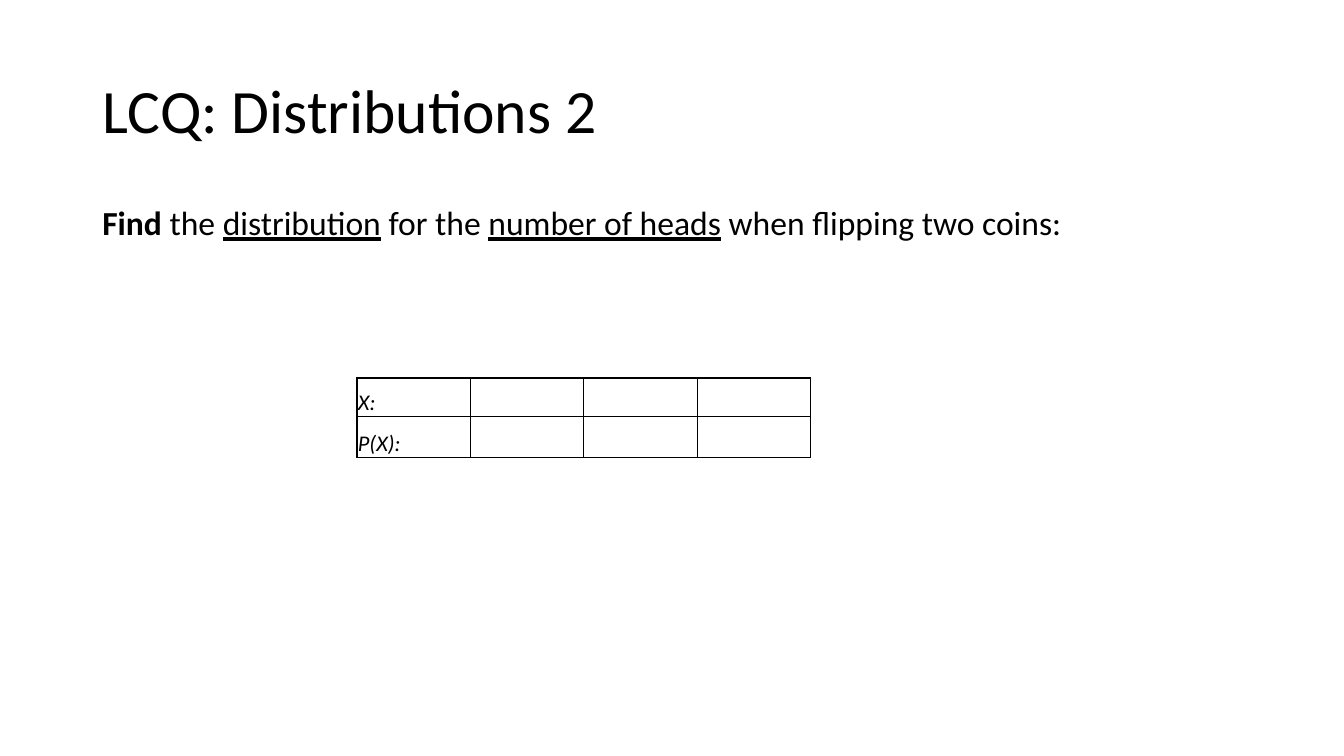
from dataclasses import dataclass
from pptx import Presentation as Deck
from pptx.dml.color import RGBColor as Rgb
from pptx.enum.text import MSO_ANCHOR as Anchor, PP_ALIGN as Align
from pptx.oxml import parse_xml
from pptx.oxml.ns import nsdecls
from pptx.util import Inches, Pt

UNIT = Inches(1) / 12
COLS, ROWS = 160, 90


@dataclass(frozen=True)
class Theme:
    face: str = "Calibri"
    ink: str = "000000"
    head: int = 44
    body: int = 24
    cell: int = 16
    thin: float = 0.5
    thick: float = 1


def grid(*spans):
    return [round(span * UNIT) for span in spans]


def assign(item, values):
    for name, value in values.items():
        setattr(item, name, value)


class Page:
    def __init__(self, deck, theme):
        self.theme = theme
        self.slide = deck.slides.add_slide(deck.slide_layouts[5])

    def fill(self, para, runs, size, **form):
        assign(para, {"alignment": Align.LEFT, **form})
        for text, style in runs:
            run = para.add_run()
            run.text = text
            assign(run.font, {"name": self.theme.face, "size": Pt(size), **style})
            run.font.color.rgb = Rgb.from_string(self.theme.ink)

    def title(self, text, box):
        shape = self.slide.shapes.title
        assign(shape, dict(zip(("left", "top", "width", "height"), grid(*box))))
        assign(shape.text_frame, {"vertical_anchor": Anchor.MIDDLE, "word_wrap": True})
        self.fill(shape.text_frame.paragraphs[0], [(text, {})],
                  self.theme.head, line_spacing=0.9)

    def text(self, runs, box):
        frame = self.slide.shapes.add_textbox(*grid(*box)).text_frame
        frame.word_wrap = True
        self.fill(frame.paragraphs[0], runs, self.theme.body,
                  line_spacing=0.9, space_before=Pt(10))

    def border(self, cell, edges):
        props = cell._tc.get_or_add_tcPr()
        for spot, (side, outer) in enumerate(edges.items()):
            width = Pt(self.theme.thick if outer else self.theme.thin)
            props.insert(spot, parse_xml(
                f'<a:ln{side} {nsdecls("a")} w="{width}"><a:solidFill>'
                f'<a:srgbClr val="{self.theme.ink}"/></a:solidFill></a:ln{side}>'))

    def table(self, heads, count, tall, box):
        table = self.slide.shapes.add_table(len(heads), count, *grid(*box)).table
        assign(table, {"first_row": False, "horz_banding": False})
        for col in table.columns:
            col.width = grid(box[2] / count)[0]
        pad = Inches(0.01)
        for y, (head, high) in enumerate(zip(heads, tall)):
            table.rows[y].height = grid(high)[0]
            for x in range(count):
                cell = table.cell(y, x)
                assign(cell, {"vertical_anchor": Anchor.BOTTOM, "margin_left": pad,
                              "margin_top": pad, "margin_right": pad,
                              "margin_bottom": 0})
                cell.fill.background()
                self.border(cell, {"L": x == 0, "R": x == count - 1,
                                   "T": y == 0, "B": y == len(heads) - 1})
                if x == 0:
                    self.fill(cell.text_frame.paragraphs[0],
                              [(head, {"italic": True})], self.theme.cell)


def main():
    deck = Deck()
    wide, high = grid(COLS, ROWS)
    assign(deck, {"slide_width": wide, "slide_height": high})
    page = Page(deck, Theme())
    page.title("LCQ: Distributions 2", (11, 4.8, 138, 17.4))
    line = {"underline": True}
    page.text([("Find", {"bold": True}), (" the ", {}), ("distribution", line),
               (" for the ", {}), ("number of heads", line),
               (" when flipping two coins:", {})], (11, 24, 138, 57.1))
    page.table(("X:", "P(X):"), 4, (4.56, 4.92), (42.5, 45, 54, 9.48))
    deck.save("out.pptx")


if __name__ == "__main__":
    main()
